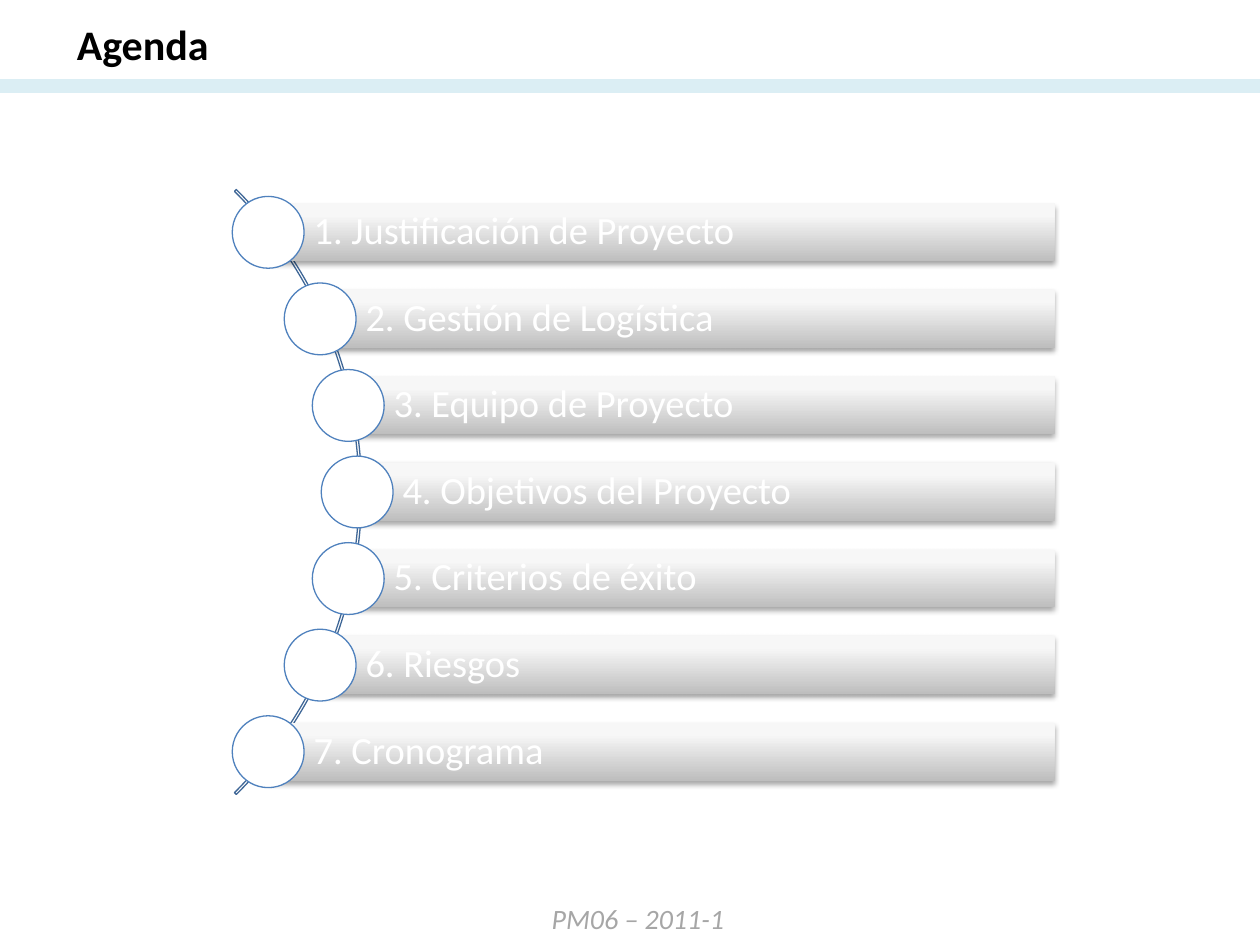
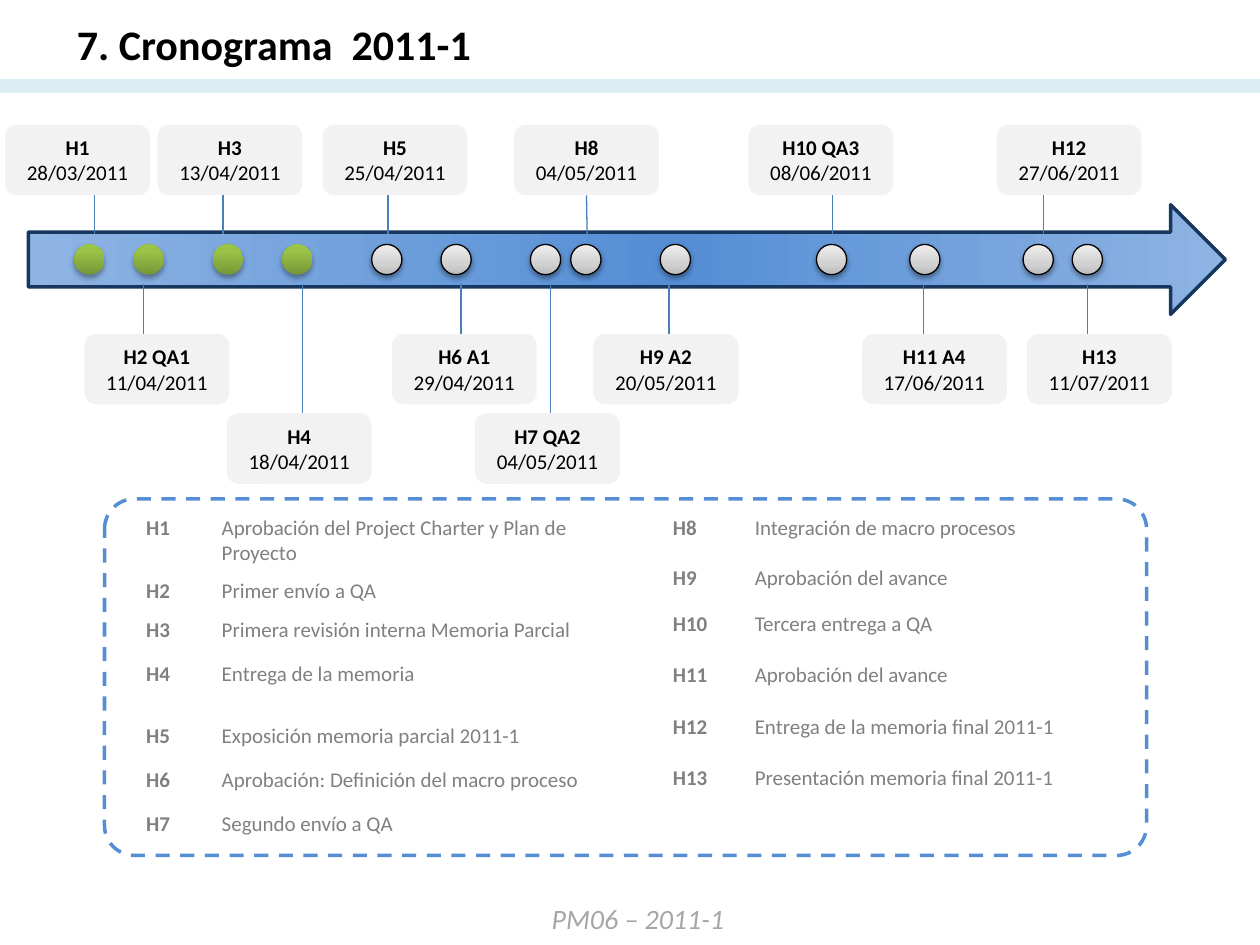
from math import sqrt

from lxml.etree import SubElement
from pptx import Presentation
from pptx.dml.color import RGBColor
from pptx.enum.dml import MSO_LINE
from pptx.enum.shapes import MSO_CONNECTOR, MSO_SHAPE as SHAPE
from pptx.enum.text import MSO_ANCHOR as ANCHOR, MSO_AUTO_SIZE, PP_ALIGN as ALIGN
from pptx.oxml.ns import qn
from pptx.util import Inches, Pt

# Colours
BLACK = RGBColor(0x00, 0x00, 0x00)
WHITE = RGBColor(0xFF, 0xFF, 0xFF)
BAND = RGBColor(0xDB, 0xEE, 0xF4)
FOOTER = RGBColor(0xA6, 0xA6, 0xA6)
ARC = RGBColor(0x3F, 0x67, 0x97)
BULLET = RGBColor(0x4F, 0x81, 0xBD)
STEM = RGBColor(0x4B, 0x7E, 0xBC)
LABEL = RGBColor(0xF2, 0xF2, 0xF2)
LEGEND_TEXT = RGBColor(0x80, 0x80, 0x80)
BLUE = RGBColor(0x55, 0x8E, 0xD5)
LIGHT_BLUE = RGBColor(0x8E, 0xB4, 0xE3)
NAVY = RGBColor(0x17, 0x37, 0x5E)

# Gradients: (position in percent, colour)
BAR_GRADIENT = [(0, RGBColor(0xBE, 0xBE, 0xBE)), (80, RGBColor(0xF7, 0xF7, 0xF7)),
                (100, RGBColor(0xF8, 0xF8, 0xF8))]
DONE_GRADIENT = [(0, RGBColor(0x77, 0x97, 0x37)), (80, RGBColor(0x9B, 0xC3, 0x48)),
                 (100, RGBColor(0x9D, 0xC7, 0x46))]
PENDING_GRADIENT = [(0, RGBColor(0xBD, 0xBD, 0xBD)), (35, RGBColor(0xD1, 0xD1, 0xD1)),
                    (100, RGBColor(0xEE, 0xEE, 0xEE))]
ARROW_GRADIENT = [(0, LIGHT_BLUE), (46, BLUE), (100, LIGHT_BLUE)]


def write(frame, text, size=12, color=BLACK, bold=False, italic=False, align=ALIGN.LEFT):
    """Add a formatted run to the first paragraph of a text frame."""
    paragraph = frame.paragraphs[0]
    paragraph.alignment = align
    run = paragraph.add_run()
    run.text = text
    font = run.font
    font.name, font.size, font.bold, font.italic = "Calibri", Pt(size), bold, italic
    font.color.rgb = color
    return paragraph


def draw(slide, kind, box, fill=None, gradient=None, angle=270, line=None, width=0.75,
         shadow=None):
    """Add a preset shape; shadow is its opacity in percent."""
    shape = slide.shapes.add_shape(kind, *map(Inches, box))
    properties = shape.element.spPr
    shape.fill.background()
    if fill is not None:
        shape.fill.solid()
        shape.fill.fore_color.rgb = fill
    if gradient:
        blend = properties.makeelement(qn("a:gradFill"), {"rotWithShape": "1"})
        properties.replace(properties.find(qn("a:noFill")), blend)
        stops = SubElement(blend, qn("a:gsLst"))
        for position, color in gradient:
            stop = SubElement(stops, qn("a:gs"), pos=str(position * 1000))
            SubElement(stop, qn("a:srgbClr"), val=str(color))
        SubElement(blend, qn("a:lin"), ang=str(angle * 60000), scaled="0")
    if line is None:
        shape.line.fill.background()
    else:
        shape.line.color.rgb = line
        shape.line.width = Pt(width)
    shape.shadow.inherit = False
    if shadow:
        outer = SubElement(properties.find(qn("a:effectLst")), qn("a:outerShdw"),
                           blurRad=str(Pt(3.1)), dist=str(Pt(1.8)), dir="5400000",
                           rotWithShape="0")
        tint = SubElement(outer, qn("a:srgbClr"), val=str(BLACK))
        SubElement(tint, qn("a:alpha"), val=str(shadow * 1000))
    return shape


prs = Presentation()
prs.slide_width, prs.slide_height = Inches(10), Inches(7.5)

# Title, band and footer of both slides
for heading in ("Agenda", "7. Cronograma  2011-1"):
    slide = prs.slides.add_slide(prs.slide_layouts[5])
    title = slide.shapes.title
    title.left, title.top, title.width, title.height = map(Inches, (0.51, 0.1, 5.04, 0.5))
    title.text_frame.vertical_anchor = ANCHOR.TOP
    title.text_frame.auto_size = MSO_AUTO_SIZE.NONE
    write(title.text_frame, heading, size=24, bold=True)

    band = slide.shapes.add_connector(MSO_CONNECTOR.STRAIGHT, 0, Inches(0.68),
                                      Inches(10), Inches(0.68))
    band.line.color.rgb = BAND
    band.line.width = Pt(8)

    footer = slide.shapes.add_textbox(*map(Inches, (4.28, 7.11, 1.59, 0.37)))
    footer.text_frame.word_wrap = False
    write(footer.text_frame, "PM06 – 2011-1", size=16, color=FOOTER, italic=True)

agenda, schedule = prs.slides

# Agenda: bars whose bullets follow an arc
TOPICS = ["Justificación de Proyecto", "Gestión de Logística", "Equipo de Proyecto",
          "Objetivos del Proyecto", "Criterios de éxito", "Riesgos", "Cronograma"]
ARC_X, ARC_Y, ARC_RADIUS = -0.525, 3.905, 3.36
BAR_PITCH, BAR_HEIGHT, BAR_RIGHT, BULLET_SIZE = 0.687, 0.46, 8.37, 0.57

arc = draw(agenda, SHAPE.BLOCK_ARC, (-3.92, 0.51, 6.79, 6.79), line=ARC)
for index, value in enumerate((189, 27, 0.003)):
    arc.adjustments[index] = value

for number, topic in enumerate(TOPICS, start=1):
    offset = (number - 4) * BAR_PITCH
    x = ARC_X + sqrt(ARC_RADIUS ** 2 - offset ** 2)
    y = ARC_Y + offset
    bar = draw(agenda, SHAPE.RECTANGLE, (x, y - BAR_HEIGHT / 2, BAR_RIGHT - x, BAR_HEIGHT),
               gradient=BAR_GRADIENT, shadow=35)
    frame = bar.text_frame
    frame.margin_left = Inches(0.36)
    frame.margin_top = frame.margin_right = frame.margin_bottom = Inches(0.06)
    write(frame, f"{number}. {topic}", size=22, color=WHITE).line_spacing = 0.9
    draw(agenda, SHAPE.OVAL, (x - BULLET_SIZE / 2, y - BULLET_SIZE / 2, BULLET_SIZE, BULLET_SIZE),
         fill=WHITE, line=BULLET)

# Schedule: timeline arrow
arrow = draw(schedule, SHAPE.UP_ARROW, (4.54, -2.69, 0.87, 9.5), gradient=ARROW_GRADIENT,
             angle=90, line=NAVY, width=2)
arrow.rotation = 90

# Milestones: name, date, label left, label top, stem x, dot left
UPPER, MIDDLE, LOWER = 0.99, 2.65, 3.28
LABEL_WIDTH, LABEL_HEIGHT, DOT_TOP, DOT_SIZE = 1.15, 0.56, 1.94, 0.24
DONE_COUNT = 4
MILESTONES = [
    ("H1", "28/03/2011", 0.04, UPPER, 0.75, 0.59),
    ("H2 QA1", "11/04/2011", 0.67, MIDDLE, 1.14, 1.06),
    ("H3", "13/04/2011", 1.25, UPPER, 1.77, 1.69),
    ("H4", "18/04/2011", 1.8, LOWER, 2.4, 2.24),
    ("H5", "25/04/2011", 2.56, UPPER, 3.08, 2.95),
    ("H6 A1", "29/04/2011", 3.11, MIDDLE, 3.66, 3.5),
    ("H7 QA2", "04/05/2011", 3.77, LOWER, 4.37, 4.21),
    ("H8", "04/05/2011", 4.08, UPPER, 4.66, 4.53),
    ("H9 A2", "20/05/2011", 4.71, MIDDLE, 5.31, 5.24),
    ("H10 QA3", "08/06/2011", 5.94, UPPER, 6.61, 6.48),
    ("H11 A4", "17/06/2011", 6.84, MIDDLE, 7.33, 7.22),
    ("H12", "27/06/2011", 7.91, UPPER, 8.28, 8.12),
    ("H13", "11/07/2011", 8.15, MIDDLE, 8.63, 8.51),
]
for index, (name, date, left, top, stem_x, dot_left) in enumerate(MILESTONES):
    label = draw(schedule, SHAPE.ROUNDED_RECTANGLE, (left, top, LABEL_WIDTH, LABEL_HEIGHT),
                 fill=LABEL)
    write(label.text_frame, name, bold=True, align=ALIGN.CENTER).add_line_break()
    write(label.text_frame, date, align=ALIGN.CENTER)

    # The stem runs from the label to the edge of the arrow
    if top == UPPER:
        label_edge, arrow_edge, side = top + LABEL_HEIGHT, 1.86, 2
    else:
        label_edge, arrow_edge, side = top, 2.25, 0
    stem = schedule.shapes.add_connector(
        MSO_CONNECTOR.STRAIGHT, *map(Inches, (stem_x, label_edge, stem_x, arrow_edge)))
    if abs(stem_x - left - LABEL_WIDTH / 2) < 0.01:
        stem.begin_connect(label, side)
    stem.line.color.rgb = STEM
    stem.line.width = Pt(0.75)

    dot_box = (dot_left, DOT_TOP, DOT_SIZE, DOT_SIZE)
    if index < DONE_COUNT:
        draw(schedule, SHAPE.OVAL, dot_box, gradient=DONE_GRADIENT, shadow=35)
    else:
        draw(schedule, SHAPE.OVAL, dot_box, gradient=PENDING_GRADIENT, line=BLACK, shadow=38)

# Legend tables: left, first milestone, column widths, (row height, description)
LEGENDS = [
    (1.06, 1, (0.6, 3.19), [
        (0.49, "Aprobación del Project Charter y Plan de Proyecto"),
        (0.31, "Primer envío a QA"),
        (0.35, "Primera revisión interna Memoria Parcial"),
        (0.49, "Entrega de la memoria"),
        (0.35, "Exposición memoria parcial 2011-1"),
        (0.35, "Aprobación: Definición del macro proceso"),
        (0.35, "Segundo envío a QA")]),
    (5.24, 8, (0.65, 3.44), [
        (0.4, "Integración de macro procesos"),
        (0.36, "Aprobación del avance"),
        (0.41, "Tercera entrega a QA"),
        (0.41, "Aprobación del avance"),
        (0.41, "Entrega de la memoria final 2011-1"),
        (0.41, "Presentación memoria final 2011-1")]),
]
for left, first, widths, entries in LEGENDS:
    height = sum(row_height for row_height, _ in entries)
    legend = schedule.shapes.add_table(
        len(entries), 2, *map(Inches, (left, 4.04, sum(widths), height))).table
    for column, width in zip(legend.columns, widths):
        column.width = Inches(width)
    for index, (row_height, description) in enumerate(entries):
        row = legend.rows[index]
        row.height = Inches(row_height)
        for cell, text, bold in zip(row.cells, (f"H{first + index}", description), (True, False)):
            cell.fill.background()
            write(cell.text_frame, text, color=LEGEND_TEXT, bold=bold)

# Dashed frame around the legend
legend_frame = draw(schedule, SHAPE.ROUNDED_RECTANGLE, (0.83, 3.96, 8.27, 2.83), line=BLUE, width=2)
legend_frame.adjustments[0] = 0.084
legend_frame.line.dash_style = MSO_LINE.DASH

# Connectors carry no shadow
for slide in prs.slides:
    for connector in slide.element.iter(qn("p:cxnSp")):
        SubElement(connector.spPr, qn("a:effectLst"))

prs.save("out.pptx")
